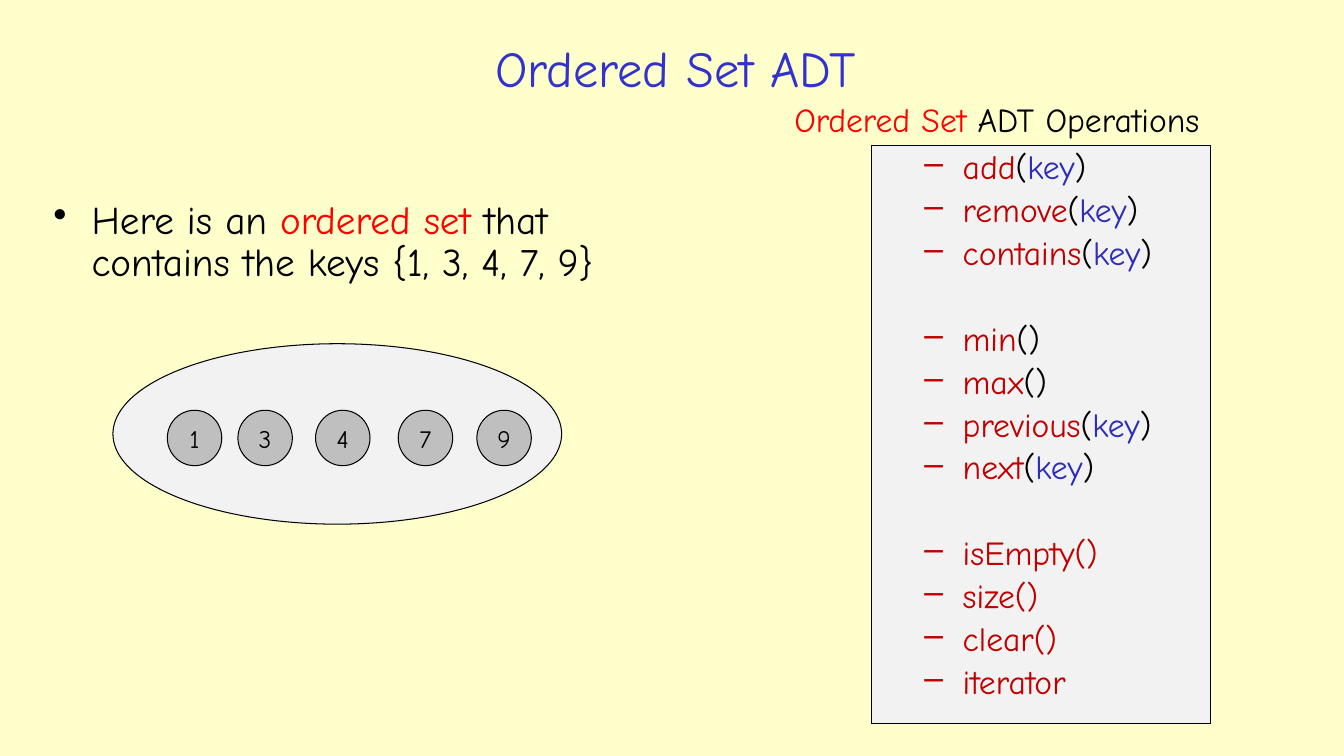
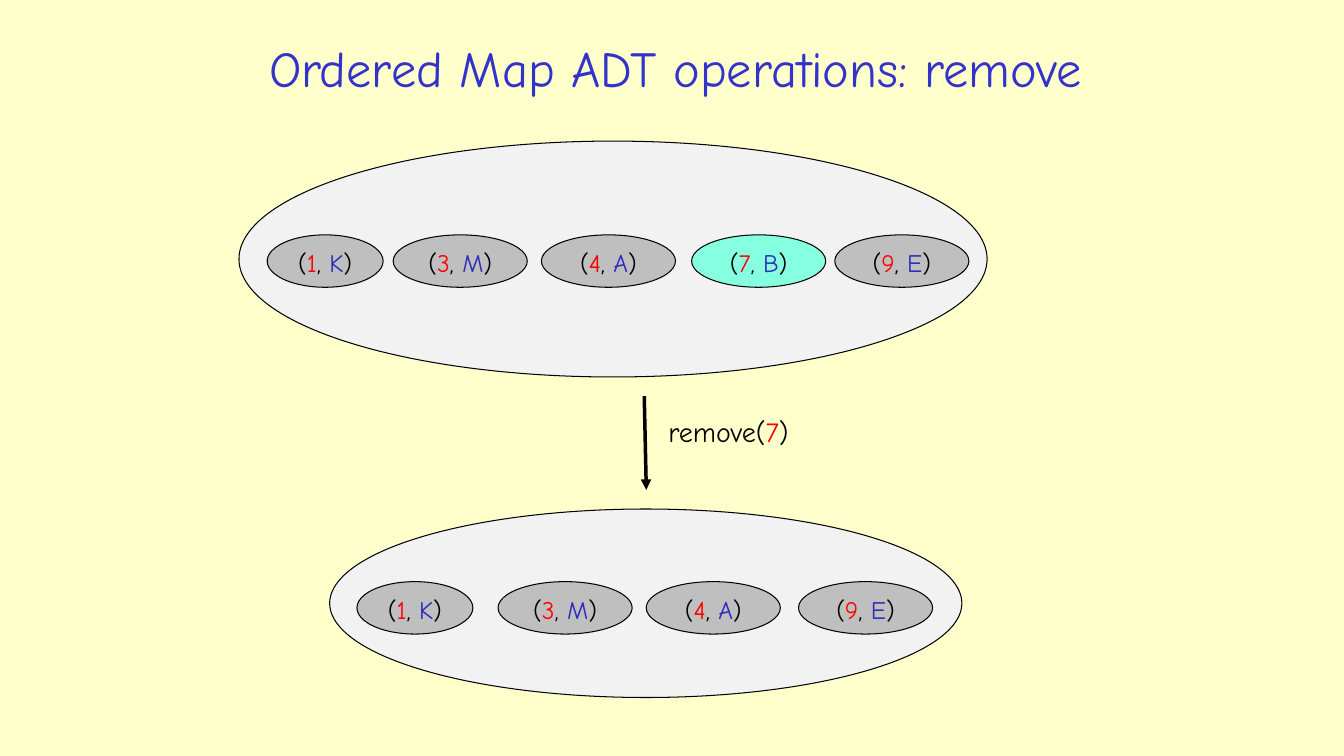
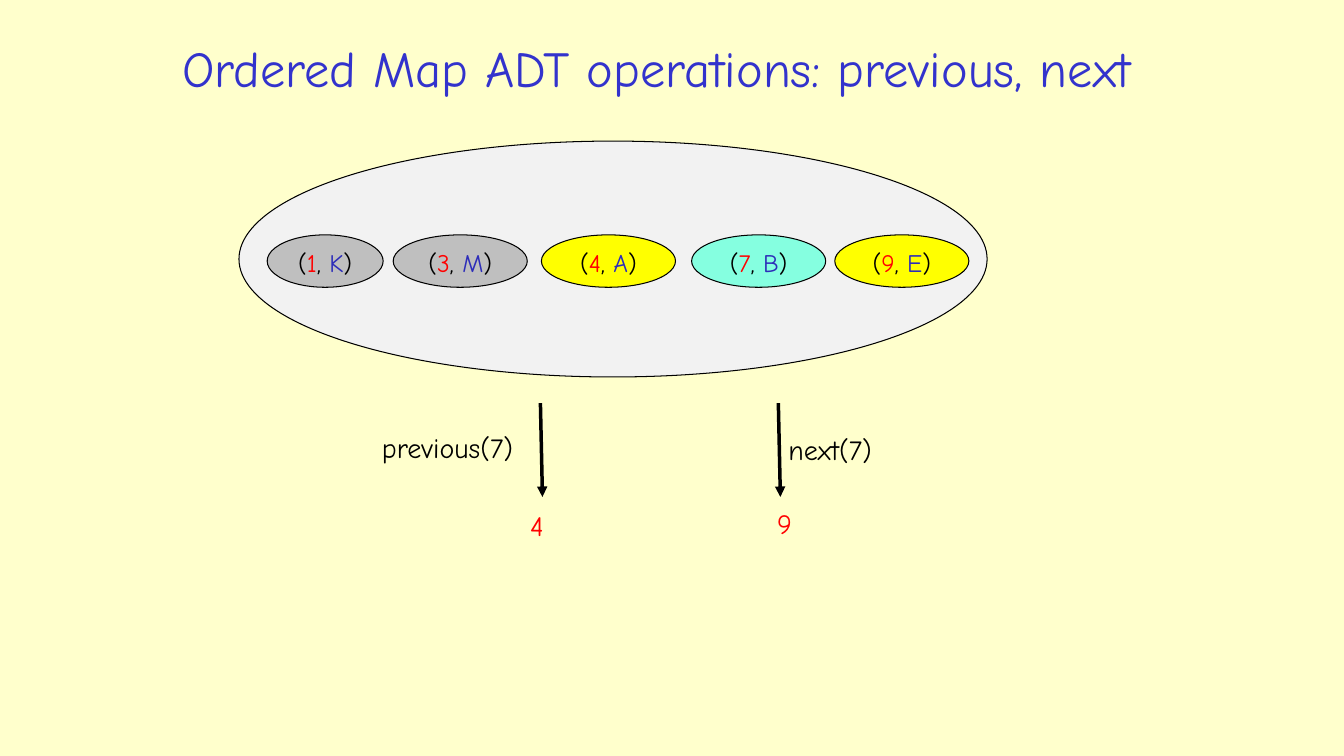
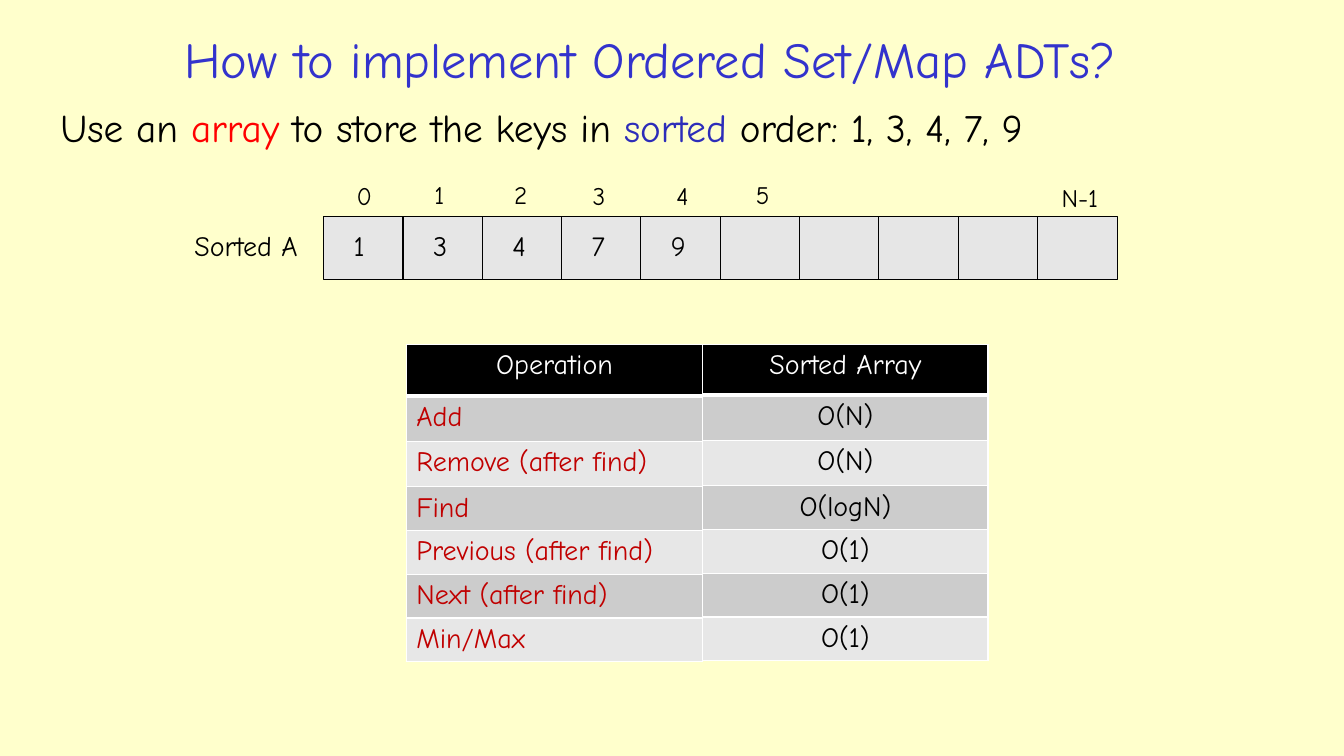
import pptx
import pptx.dml.color
import pptx.enum.shapes
import pptx.enum.text
import pptx.oxml.ns
import pptx.util
from lxml import etree

Inches = pptx.util.Inches
Pt = pptx.util.Pt
Align = pptx.enum.text.PP_ALIGN
Anchor = pptx.enum.text.MSO_ANCHOR
Shape = pptx.enum.shapes.MSO_SHAPE
qn = pptx.oxml.ns.qn

FONT = "Comic Neue"
COLORS = {
    "background": "FFFFCC", "title": "3333CC", "text": "000000", "inverse": "FFFFFF",
    "key": "FF0000", "value": "2D2DB9", "operation": "C00000",
    "container": "F2F2F2", "item": "BFBFBF", "target": "85FFE0", "neighbor": "FFFF00",
    "cell": "E6E6E6", "header": "000000", "band_dark": "CCCCCC", "band_light": "E7E7E7",
}

# Map entries: key, value, left, width
FULL_MAP = [("1", "K", 2.65, 1.15), ("3", "M", 3.9, 1.33), ("4", "A", 5.37, 1.33),
            ("7", "B", 6.86, 1.33), ("9", "E", 8.28, 1.33)]
REDUCED_MAP = [("1", "K", 3.54, 1.15), ("3", "M", 4.94, 1.33), ("4", "A", 6.41, 1.33),
               ("9", "E", 7.92, 1.33)]


def rgb(name):
    return pptx.dml.color.RGBColor.from_string(COLORS[name])


# Text
def set_bullet(paragraph, character, margin, hanging):
    properties = paragraph._p.get_or_add_pPr()
    properties.set("marL", str(Inches(margin)))
    properties.set("indent", str(-Inches(hanging)))
    etree.SubElement(properties, qn("a:buChar")).set("char", character)


def write_text(paragraph, text, size=18, color="text", align=Align.LEFT,
               bullet=None, margin=0.38, line_spacing=None, space_before=None):
    """Write a string, or a list of (string, colour name) runs."""
    if bullet:
        set_bullet(paragraph, bullet, margin, 0.38)
    paragraph.alignment = align
    if line_spacing:
        paragraph.line_spacing = line_spacing
    if space_before:
        paragraph.space_before = Pt(space_before)
    for words, run_color in [(text, color)] if isinstance(text, str) else text:
        run = paragraph.add_run()
        run.text = words
        run.font.name = FONT
        run.font.size = Pt(size)
        run.font.bold = False
        run.font.color.rgb = rgb(run_color)


def add_text(slide, box, text, wrap=True, grow=False, anchor=Anchor.TOP, **text_format):
    frame = slide.shapes.add_textbox(*map(Inches, box)).text_frame
    frame.word_wrap = wrap
    frame.vertical_anchor = anchor
    if grow:
        frame.auto_size = pptx.enum.text.MSO_AUTO_SIZE.SHAPE_TO_FIT_TEXT
    write_text(frame.paragraphs[0], text, **text_format)


def add_label(slide, box, text, wrap=True, size=20, **text_format):
    add_text(slide, box, text, wrap=wrap, grow=True, size=size, **text_format)


# Shapes
def add_outlined(slide, kind, box, fill):
    shape = slide.shapes.add_shape(kind, *map(Inches, box))
    shape.shadow.inherit = False
    shape.fill.solid()
    shape.fill.fore_color.rgb = rgb(fill)
    shape.line.color.rgb = rgb("text")
    shape.line.width = Pt(0.75)
    shape.text_frame.vertical_anchor = Anchor.TOP
    return shape


def add_item(slide, box, text, fill="item"):
    shape = add_outlined(slide, Shape.OVAL, box, fill)
    write_text(shape.text_frame.paragraphs[0], text, align=Align.CENTER)


def add_map(slide, outline, top, entries, highlights):
    add_outlined(slide, Shape.OVAL, outline, "container")
    for key, value, left, width in entries:
        text = [("(", "text"), (key, "key"), (", ", "text"), (value, "value"), (")", "text")]
        add_item(slide, (left, top, width, 0.52), text, highlights.get(key, "item"))


def add_full_map(slide, highlights):
    add_map(slide, (2.37, 1.4, 7.42, 2.34), 2.33, FULL_MAP, highlights)


def add_down_arrow(slide, left, top):
    points = map(Inches, (left, top, left + 0.02, top + 0.93))
    arrow = slide.shapes.add_connector(pptx.enum.shapes.MSO_CONNECTOR.STRAIGHT, *points)
    arrow.line.color.rgb = rgb("text")
    arrow.line.width = Pt(2.5)
    etree.SubElement(arrow.line._get_or_add_ln(), qn("a:tailEnd")).set("type", "triangle")
    etree.SubElement(arrow._element.spPr, qn("a:effectLst"))


# Tables
def set_borders(cell, bottom):
    properties = cell._tc.get_or_add_tcPr()
    widths = {"a:lnL": 1, "a:lnR": 1, "a:lnT": 1, "a:lnB": bottom}
    for position, (tag, width) in enumerate(widths.items()):
        line = etree.Element(qn(tag), w=str(Pt(width)))
        fill = etree.SubElement(line, qn("a:solidFill"))
        etree.SubElement(fill, qn("a:srgbClr")).set("val", COLORS["inverse"])
        properties.insert(position, line)


def add_column_table(slide, left, width, header_height, texts, color, align):
    heights = [header_height, 0.45, 0.45, 0.43, 0.43, 0.43, 0.43]
    box = map(Inches, (left, 3.42, width, sum(heights)))
    table = slide.shapes.add_table(len(texts), 1, *box).table
    table.first_row = table.horz_banding = False
    for index, (text, height) in enumerate(zip(texts, heights)):
        table.rows[index].height = Inches(height)
        cell = table.cell(index, 0)
        header = index == 0
        band = "band_dark" if index % 2 else "band_light"
        cell.fill.solid()
        cell.fill.fore_color.rgb = rgb("header" if header else band)
        set_borders(cell, bottom=3 if header else 1)
        write_text(cell.text_frame.paragraphs[0], text, size=20,
                   color="inverse" if header else color,
                   align=Align.CENTER if header else align)


# Slides
def add_slide(presentation, title, box=(1.93, 0.26, 9.54, 0.81)):
    slide = presentation.slides.add_slide(presentation.slide_layouts[6])
    add_text(slide, box, title, anchor=Anchor.MIDDLE, size=36, color="title",
             align=Align.CENTER)
    return slide


def add_operations(slide):
    add_label(slide, (7.78, 0.93, 4.89, 0.5),
              [("Ordered Set ", "key"), ("ADT Operations", "text")], wrap=False, size=24)
    frame = add_outlined(slide, Shape.RECTANGLE, (8.64, 1.44, 3.37, 5.74),
                         "container").text_frame
    with_key = [("(", "text"), ("key", "value"), (")", "text")]
    no_key = [("()", "text")]
    groups = [
        [("add", with_key), ("remove", with_key), ("contains", with_key)],
        [("min", no_key), ("max", no_key), ("previous", with_key), ("next", with_key)],
        [("isEmpty()", []), ("size()", []), ("clear()", []), ("iterator", [])],
    ]
    paragraph = frame.paragraphs[0]
    space_before = None
    for group in groups:
        for name, arguments in group:
            write_text(paragraph, [(name, "operation")] + arguments, size=24, bullet="–",
                       margin=0.81, line_spacing=0.9, space_before=space_before)
            space_before = 4.8
            if name != "iterator":
                paragraph = frame.add_paragraph()
        space_before = 35.5  # one line of distance between groups


def build_set_slide(presentation):
    slide = add_slide(presentation, "Ordered Set ADT")
    add_text(slide, (0.43, 1.94, 6.22, 1.14),
             [("Here is an ", "text"), ("ordered set ", "key"),
              ("that contains the keys {1, 3, 4, 7, 9}", "text")],
             size=28, bullet="•", line_spacing=0.9)
    add_outlined(slide, Shape.OVAL, (1.12, 3.41, 4.45, 1.79), "container")
    for key, left in zip("13479", (1.66, 2.36, 3.13, 3.95, 4.73)):
        add_item(slide, (left, 4.07, 0.54, 0.55), key)
    add_operations(slide)


def build_remove_slide(presentation):
    slide = add_slide(presentation, "Ordered Map ADT operations: remove")
    add_full_map(slide, {"7": "target"})
    add_down_arrow(slide, 6.39, 3.93)
    add_label(slide, (6.53, 4.06, 1.66, 0.44),
              [("remove(", "text"), ("7", "key"), (")", "text")])
    add_map(slide, (3.27, 5.05, 6.27, 1.87), 5.77, REDUCED_MAP, {})


def build_neighbors_slide(presentation):
    slide = add_slide(presentation, "Ordered Map ADT operations: previous, next",
                      (0.38, 0.26, 12.27, 0.81))
    add_full_map(slide, {"4": "neighbor", "7": "target", "9": "neighbor"})
    for left in (5.36, 7.72):
        add_down_arrow(slide, left, 4)
    add_label(slide, (3.69, 4.22, 1.77, 0.44), "previous(7)")
    add_label(slide, (7.72, 4.24, 1.36, 0.44), "next(7)")
    add_label(slide, (5.16, 5, 0.8, 0.44), "4", color="key")
    add_label(slide, (7.61, 4.98, 0.8, 0.44), "9", color="key")


def add_sorted_array(slide):
    left, pitch = 3.21, 7.08 / 9
    values = ["1", "3", "4", "7", "9"]
    for index in range(10):
        cell_left = left + index * pitch
        add_outlined(slide, Shape.RECTANGLE, (cell_left, 2.15, 0.79, 0.62), "cell")
        if index < len(values):
            width = 0.33 if values[index] == "1" else 0.37
            add_label(slide, (cell_left + 0.2, 2.22, width, 0.44), values[index], wrap=False)
    indexes = [("0", 3.44, 1.74, 0.36), ("1", 4.21, 1.73, 0.32), ("2", 5, 1.73, 0.36),
               ("3", 5.78, 1.74, 0.36), ("4", 6.61, 1.74, 0.36), ("5", 7.4, 1.73, 0.36),
               ("N-1", 10.43, 1.76, 0.62)]
    for text, label_left, top, width in indexes:
        add_label(slide, (label_left, top, width, 0.4), text, wrap=False, size=18)
    add_label(slide, (1.83, 2.22, 1.42, 0.44), "Sorted A", wrap=False)


def build_array_slide(presentation):
    slide = add_slide(presentation, "How to implement Ordered Set/Map ADTs?",
                      (0.62, 0.27, 11.66, 0.62))
    add_text(slide, (0.5, 1.03, 12.02, 0.7),
             [("Use an ", "text"), ("array", "key"), (" to store the keys in ", "text"),
              ("sorted", "value"), (" order: 1, 3, 4, 7, 9", "text")],
             size=28, line_spacing=0.9)
    operations = ["Operation", "Add", "Remove (after find)", "Find",
                  "Previous (after find)", "Next (after find)", "Min/Max"]
    costs = ["Sorted Array", "O(N)", "O(N)", "O(logN)", "O(1)", "O(1)", "O(1)"]
    add_column_table(slide, 4.03, 2.94, 0.51, operations, "operation", Align.LEFT)
    add_column_table(slide, 6.97, 2.83, 0.5, costs, "text", Align.CENTER)
    add_sorted_array(slide)


def main():
    presentation = pptx.Presentation()
    presentation.slide_width = Inches(13.33)
    presentation.slide_height = Inches(7.5)
    background = presentation.slide_master.background.fill
    background.solid()
    background.fore_color.rgb = rgb("background")
    build_set_slide(presentation)
    build_remove_slide(presentation)
    build_neighbors_slide(presentation)
    build_array_slide(presentation)
    presentation.save("out.pptx")


if __name__ == "__main__":
    main()
